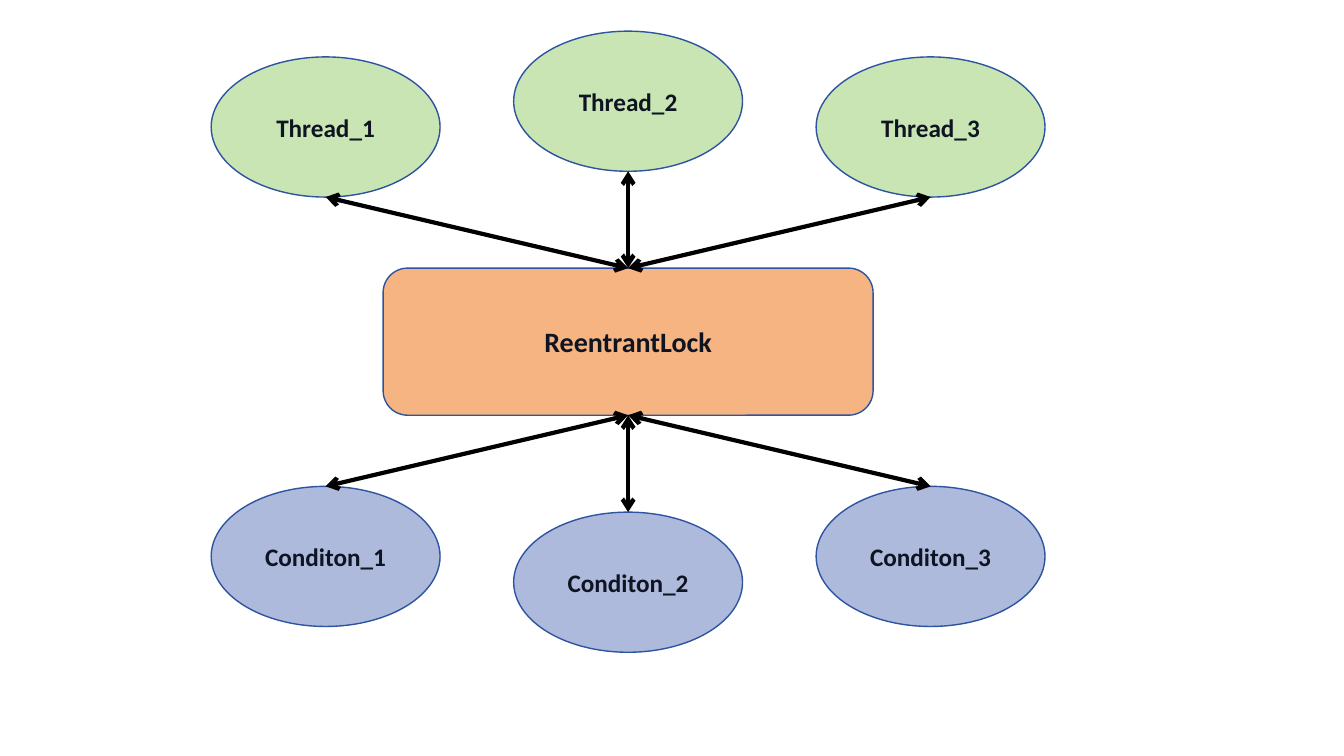
from dataclasses import dataclass

from lxml import etree
from pptx import Presentation
from pptx import util as u
from pptx.dml.color import RGBColor
from pptx.enum import shapes, text
from pptx.oxml import ns
from pptx.shapes.autoshape import Shape
from pptx.slide import Slide

COLOURS = {
    "lock": "F5B482",
    "thread": "C8E5B3",
    "condition": "AEBADC",
    "outline": "2E54A1",
    "text": "0F1423",
    "arrow": "000000",
}

# Grid in inches, counted outwards from the centre of the lock
CENTRE_X, CENTRE_Y = 6.23, 3.39
COLUMN, ROW = 3.0, 2.13
MIDDLE_ROW = 1.12  # the middle column stands further from the lock

LOCK_SIZE = (4.86, 1.46)
OVAL_SIZE = (2.27, 1.39)
TOP, BOTTOM = 0, 2


@dataclass(frozen=True)
class Node:
    label: str
    role: str
    column: float
    row: float
    size: tuple[float, float] = OVAL_SIZE
    outline: int = shapes.MSO_SHAPE.OVAL
    font_size: int = 18


@dataclass(frozen=True)
class Group:
    prefix: str
    role: str
    side: int  # -1 above the lock, 1 below it

    def nodes(self) -> list[Node]:
        return [
            Node(f"{self.prefix}_{number}", self.role, column,
                 self.side * (1 if column else MIDDLE_ROW))
            for number, column in enumerate((-1, 0, 1), start=1)
        ]


LOCK = Node("ReentrantLock", "lock", 0, 0, LOCK_SIZE,
            shapes.MSO_SHAPE.ROUNDED_RECTANGLE, 20)
GROUPS = [Group("Conditon", "condition", 1), Group("Thread", "thread", -1)]


def colour(name: str) -> RGBColor:
    return RGBColor.from_string(COLOURS[name])


def draw_node(slide: Slide, node: Node) -> Shape:
    width, height = node.size
    left = CENTRE_X + node.column * COLUMN - width / 2
    top = CENTRE_Y + node.row * ROW - height / 2
    shape = slide.shapes.add_shape(
        node.outline, *map(u.Inches, (left, top, width, height)))
    shape.shadow.inherit = False
    shape.fill.solid()
    shape.fill.fore_color.rgb = colour(node.role)
    shape.line.color.rgb = colour("outline")
    shape.line.width = u.Pt(1)

    frame = shape.text_frame
    frame.vertical_anchor = text.MSO_ANCHOR.MIDDLE
    paragraph = frame.paragraphs[0]
    paragraph.alignment = text.PP_ALIGN.CENTER
    run = paragraph.add_run()
    run.text = node.label
    run.font.color.rgb = colour("text")
    font_format = {"name": "Calibri", "size": u.Pt(node.font_size), "bold": True}
    for attribute, value in font_format.items():
        setattr(run.font, attribute, value)
    return shape


def draw_arrow(slide: Slide, lock: Shape, oval: Shape, side: int) -> None:
    """Join the lock to the facing edge of an oval, with a head at both ends."""
    oval_x = oval.left + oval.width // 2
    oval_y = oval.top if side > 0 else oval.top + oval.height
    arrow = slide.shapes.add_connector(
        shapes.MSO_CONNECTOR.STRAIGHT, 0, 0, oval_x, oval_y)
    arrow.begin_connect(lock, BOTTOM if side > 0 else TOP)
    if side > 0:
        arrow.end_connect(oval, TOP)
    arrow.line.color.rgb = colour("arrow")
    arrow.line.width = u.Pt(3)
    line = arrow.line._get_or_add_ln()
    for end in ("a:headEnd", "a:tailEnd"):
        etree.SubElement(line, ns.qn(end), type="arrow")
    etree.SubElement(arrow._element.spPr, ns.qn("a:effectLst"))


def main() -> None:
    deck = Presentation()
    deck.slide_width, deck.slide_height = u.Inches(13.33), u.Inches(7.5)
    slide = deck.slides.add_slide(deck.slide_layouts[6])
    lock = draw_node(slide, LOCK)
    for group in GROUPS:
        ovals = [draw_node(slide, node) for node in group.nodes()]
        for oval in ovals:
            draw_arrow(slide, lock, oval, group.side)
    deck.save("out.pptx")


if __name__ == "__main__":
    main()
